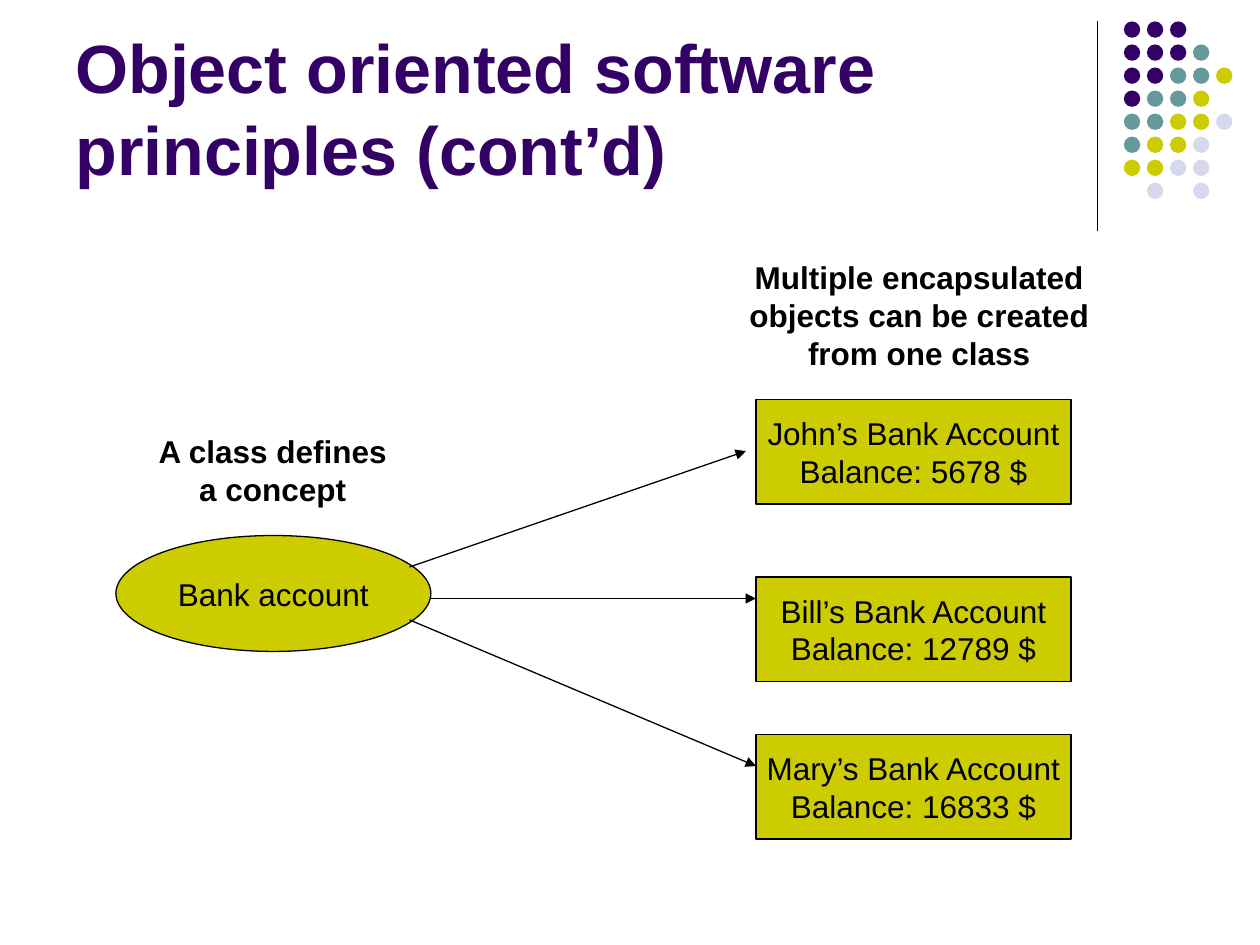
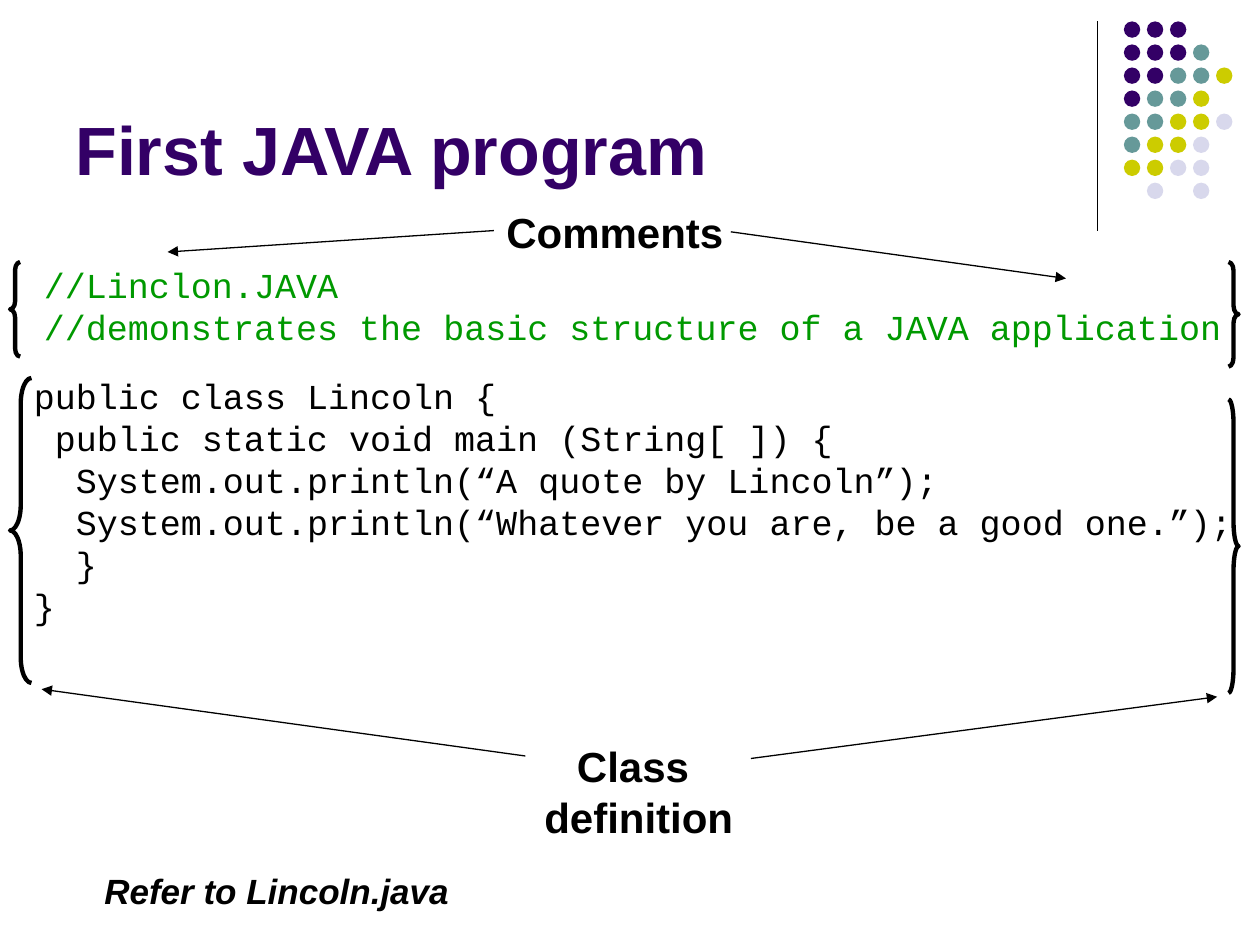
"""Two slides on classes, objects and a first program."""
import pptx
import pptx.util
import pptx.dml.color
import pptx.enum.shapes
import pptx.enum.text
import pptx.oxml
import pptx.oxml.ns

Inches = pptx.util.Inches
Pt = pptx.util.Pt
SHAPE = pptx.enum.shapes.MSO_SHAPE
ALIGN = pptx.enum.text.PP_ALIGN
ANCHOR = pptx.enum.text.MSO_ANCHOR

COLORS = {
    "ink": "000000",
    "purple": "330066",
    "teal": "669999",
    "lime": "CCCC00",
    "pale": "D8D8EC",
    "green": "009900",
}
DOTS = ["PPP", "PPPT", "PPTTL", "PTTL", "TTLLG", "TLLG", "LLGG", " G G"]
DOT_KEYS = {"P": "purple", "T": "teal", "L": "lime", "G": "pale"}
THIN = 0.75
THICK = 2.5
CELL = 12 / 72  # width of one 20 pt Courier New character, in inches


def color(key):
    """Return the named colour."""
    return pptx.dml.color.RGBColor.from_string(COLORS[key])


def box(area):
    """Turn left, top, width and height into lengths."""
    return [Inches(v) for v in area]


def write(shape, lines, size, ink="ink", font="Arial", bold=False,
          italic=False, align=ALIGN.LEFT, anchor=ANCHOR.TOP, wrap=False):
    """Fill a shape with one paragraph per line, all in one style."""
    frame = shape.text_frame
    frame.word_wrap = wrap
    frame.vertical_anchor = anchor
    for i, line in enumerate(lines):
        para = frame.add_paragraph() if i else frame.paragraphs[0]
        para.text = line
        para.alignment = align
        para.line_spacing = Pt(1.2 * size)
        para.font.name = font
        para.font.size = Pt(size)
        para.font.bold = bold
        para.font.italic = italic
        para.font.color.rgb = color(ink)


def label(slide, area, lines, size, **style):
    """Add a text box."""
    shape = slide.shapes.add_textbox(*box(area))
    write(shape, lines, size, **style)
    return shape


def node(slide, kind, area, lines):
    """Add a lime shape with centred text."""
    shape = slide.shapes.add_shape(kind, *box(area))
    shape.shadow.inherit = False
    shape.fill.solid()
    shape.fill.fore_color.rgb = color("lime")
    shape.line.color.rgb = color("ink")
    shape.line.width = Pt(THIN)
    write(shape, lines, 18, align=ALIGN.CENTER, anchor=ANCHOR.MIDDLE)


def rule(slide, start, end, arrow=True):
    """Add a thin line, with an arrowhead at its end if wanted."""
    line = slide.shapes.add_connector(
        pptx.enum.shapes.MSO_CONNECTOR.STRAIGHT, *box(start + end))
    line.line.color.rgb = color("ink")
    line.line.width = Pt(THIN)
    if arrow:
        tail = pptx.oxml.parse_xml(
            '<a:tailEnd %s type="triangle"/>' % pptx.oxml.ns.nsdecls("a"))
        line.line._get_or_add_ln().append(tail)
    line._element.spPr.append(pptx.oxml.parse_xml(
        "<a:effectLst %s/>" % pptx.oxml.ns.nsdecls("a")))


def brace(slide, kind, area):
    """Add a brace whose curves each take a twelfth of its height."""
    shape = slide.shapes.add_shape(kind, *box(area))
    shape.shadow.inherit = False
    shape.adjustments[0] = area[3] / area[2] / 12
    shape.fill.background()
    shape.line.color.rgb = color("ink")
    shape.line.width = Pt(THICK)


def dots(slide):
    """Add the grid of coloured dots in the corner."""
    group = slide.shapes.add_group_shape()
    step = 1.28 / 7
    for row, keys in enumerate(DOTS):
        for col, key in enumerate(keys):
            if key == " ":
                continue
            area = (8.92 + col * step, 0.17 + row * step, 0.13, 0.13)
            dot = group.shapes.add_shape(SHAPE.OVAL, *box(area))
            dot.shadow.inherit = False
            dot.fill.solid()
            dot.fill.fore_color.rgb = color(DOT_KEYS[key])
            dot.line.fill.background()


def start(deck, title):
    """Add a slide with the shared corner and title."""
    slide = deck.slides.add_slide(deck.slide_layouts[6])
    rule(slide, (8.71, 0.17), (8.71, 1.83), arrow=False)
    dots(slide)
    label(slide, (0.5, 0.13, 8.25, 1.42), [title], 39, ink="purple",
          bold=True, anchor=ANCHOR.BOTTOM, wrap=True)
    return slide


def objects(deck):
    """Show one class and the objects made from it."""
    slide = start(deck, "Object oriented software principles (cont’d)")
    node(slide, SHAPE.OVAL, (0.92, 4.25, 2.5, 0.92), ["Bank account"])
    heads = [
        ((0.83, 3.38, 2.67, 0.7), ["A class defines", "a concept"]),
        ((5.67, 2, 3.25, 1), ["Multiple encapsulated objects can be "
                              "created from one class"]),
    ]
    for area, lines in heads:
        label(slide, area, lines, 18, bold=True, align=ALIGN.CENTER, wrap=True)
    owners = [
        ("John", 5678, 3.17, (3.25, 4.5), (5.92, 3.58)),
        ("Bill", 12789, 4.58, (3.42, 4.75), (6, 4.75)),
        ("Mary", 16833, 5.83, (3.25, 4.92), (6, 6.08)),
    ]
    for name, sum_, top, tail, tip in owners:
        node(slide, SHAPE.RECTANGLE, (6, top, 2.5, 0.83),
             [f"{name}’s Bank Account", f"Balance: {sum_} $"])
        rule(slide, tail, tip)


def program(deck):
    """Show a short program with its parts marked."""
    slide = start(deck, "First JAVA program")
    label(slide, (0.25, 2.04, 9.67, 0.77),
          ["//Linclon.JAVA",
           "//demonstrates the basic structure of a JAVA application"],
          20, ink="green", font="Courier New", wrap=True)
    code = [
        (0, "public class Lincoln {"),
        (1, "public static void main (String[ ]) {"),
        (2, "System.out.println(“A quote by Lincoln”);"),
        (2, "System.out.println(“Whatever you are, be a good one.”);"),
        (2, "}"),
        (0, "}"),
    ]
    body = label(slide, (0.17, 2.92, 10, 2.77), [line for _, line in code],
                 20, font="Courier New", wrap=True)
    for para, (depth, _) in zip(body.text_frame.paragraphs, code):
        para._p.get_or_add_pPr().set("marL", str(Inches(depth * CELL)))

    brace(slide, SHAPE.LEFT_BRACE, (0.08, 2.08, 0.08, 0.75))
    brace(slide, SHAPE.RIGHT_BRACE, (9.75, 2.08, 0.08, 0.83))
    brace(slide, SHAPE.LEFT_BRACE, (0.08, 3, 0.17, 2.42))
    brace(slide, SHAPE.RIGHT_BRACE, (9.75, 3.17, 0.08, 2.33))

    label(slide, (3.92, 1.59, 1.92, 0.5), ["Comments"], 24, bold=True)
    label(slide, (4.22, 5.83, 1.7, 0.9), ["Class ", "definition"], 24,
          bold=True, align=ALIGN.CENTER)
    label(slide, (0.73, 6.85, 2.94, 0.44), ["Refer to Lincoln.java"], 20,
          bold=True, italic=True)
    for tail, tip in [((3.92, 1.83), (1.33, 2)), ((5.8, 1.84), (8.46, 2.21)),
                      ((4.17, 6), (0.33, 5.47)), ((5.96, 6.02), (9.66, 5.53))]:
        rule(slide, tail, tip)


def main():
    """Build and save the deck."""
    deck = pptx.Presentation()
    deck.slide_width = Inches(10)
    deck.slide_height = Inches(7.5)
    objects(deck)
    program(deck)
    deck.save("out.pptx")


main()
